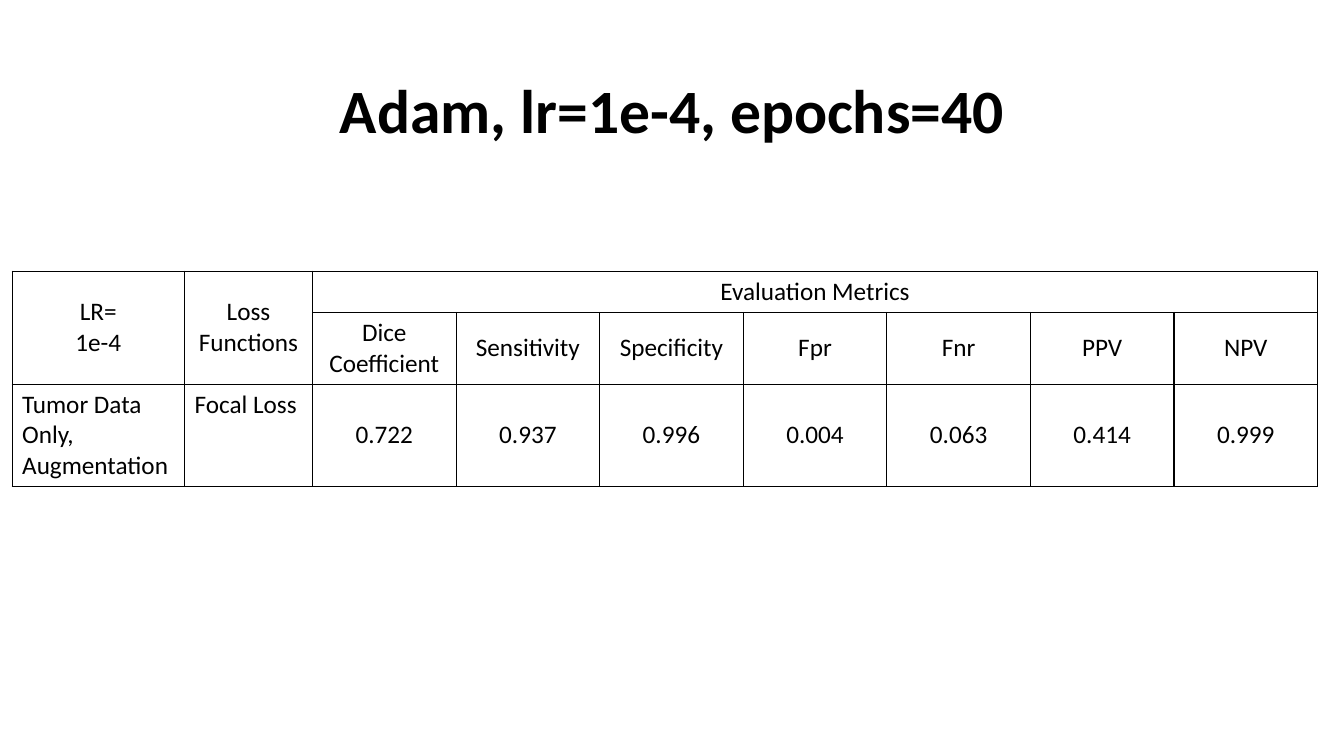
from dataclasses import dataclass

from lxml import etree
from pptx import Presentation
from pptx.dml.color import RGBColor
from pptx.enum.text import MSO_ANCHOR, PP_ALIGN
from pptx.oxml.ns import qn
from pptx.slide import Slide
from pptx.table import Table, _Cell
from pptx.text.text import _Paragraph
from pptx.util import Inches, Pt

LEFT, CENTER = PP_ALIGN.LEFT, PP_ALIGN.CENTER
TOP, MIDDLE = MSO_ANCHOR.TOP, MSO_ANCHOR.MIDDLE


@dataclass(frozen=True)
class Theme:
    font: str = "Calibri"
    ink: str = "000000"
    title_size: int = 44
    table_size: int = 18
    border_width: int = 1


@dataclass(frozen=True)
class Entry:
    row: int
    column: int
    lines: tuple[str, ...]
    row_span: int = 1
    column_span: int = 1
    align: PP_ALIGN = CENTER
    anchor: MSO_ANCHOR = MIDDLE


THEME = Theme()
TABLE_WIDTH = 12.95
LABEL_WIDTHS = [1.71, 1.27]
ROW_HEIGHTS = [0.41, 0.71, 1.01]
METRICS = {
    "Dice Coefficient": "0.722",
    "Sensitivity": "0.937",
    "Specificity": "0.996",
    "Fpr": "0.004",
    "Fnr": "0.063",
    "PPV": "0.414",
    "NPV": "0.999",
}
FIRST_METRIC = len(LABEL_WIDTHS)
ENTRIES = [
    Entry(0, 0, ("LR=", "1e-4"), row_span=2),
    Entry(0, 1, ("Loss Functions",), row_span=2),
    Entry(0, FIRST_METRIC, ("Evaluation Metrics",), column_span=len(METRICS)),
    Entry(2, 0, ("Tumor Data Only,", "Augmentation"), align=LEFT),
    Entry(2, 1, ("Focal Loss",), align=LEFT, anchor=TOP),
]
for metric_column, (metric, score) in enumerate(METRICS.items(), FIRST_METRIC):
    ENTRIES += [Entry(1, metric_column, (metric,)), Entry(2, metric_column, (score,))]


def add_text(paragraph: _Paragraph, text: str, size: int, bold: bool, align: PP_ALIGN) -> None:
    paragraph.alignment = align
    run = paragraph.add_run()
    run.text = text
    run.font.name = THEME.font
    run.font.size = Pt(size)
    run.font.bold = bold
    run.font.color.rgb = RGBColor.from_string(THEME.ink)


def add_title(slide: Slide, text: str) -> None:
    title = slide.shapes.title
    title.left, title.top = Inches(0.92), Inches(0.4)
    title.width, title.height = Inches(11.5), Inches(1.45)
    title.text_frame.vertical_anchor = MIDDLE
    heading = title.text_frame.paragraphs[0]
    heading.line_spacing = 0.9
    add_text(heading, text, THEME.title_size, True, CENTER)


def outline_cell(cell: _Cell) -> None:
    cell.fill.background()
    properties = cell._tc.get_or_add_tcPr()
    for position, side in enumerate(("a:lnL", "a:lnR", "a:lnT", "a:lnB")):
        border = etree.Element(qn(side), w=str(Pt(THEME.border_width)))
        fill = etree.SubElement(border, qn("a:solidFill"))
        etree.SubElement(fill, qn("a:srgbClr"), val=THEME.ink)
        properties.insert(position, border)


def fill_entry(table: Table, entry: Entry) -> None:
    cell = table.cell(entry.row, entry.column)
    if entry.row_span > 1 or entry.column_span > 1:
        cell.merge(table.cell(entry.row + entry.row_span - 1, entry.column + entry.column_span - 1))
    cell.vertical_anchor = entry.anchor
    frame = cell.text_frame
    for index, line in enumerate(entry.lines):
        paragraph = frame.add_paragraph() if index else frame.paragraphs[0]
        add_text(paragraph, line, THEME.table_size, False, entry.align)


def add_results(slide: Slide) -> None:
    metric_width = (TABLE_WIDTH - sum(LABEL_WIDTHS)) / len(METRICS)
    widths = LABEL_WIDTHS + [metric_width] * len(METRICS)
    table = slide.shapes.add_table(
        len(ROW_HEIGHTS), len(widths), Inches(0.12), Inches(2.69),
        Inches(TABLE_WIDTH), Inches(sum(ROW_HEIGHTS)),
    ).table
    table.first_row = table.horz_banding = False
    for column, width in zip(table.columns, widths):
        column.width = Inches(width)
    for row, height in zip(table.rows, ROW_HEIGHTS):
        row.height = Inches(height)
    for cell in table.iter_cells():
        outline_cell(cell)
    for entry in ENTRIES:
        fill_entry(table, entry)


def main() -> None:
    deck = Presentation()
    deck.slide_width, deck.slide_height = Inches(13.33), Inches(7.5)
    slide = deck.slides.add_slide(deck.slide_layouts[5])
    add_title(slide, "Adam, lr=1e-4, epochs=40")
    add_results(slide)
    deck.save("out.pptx")


if __name__ == "__main__":
    main()
